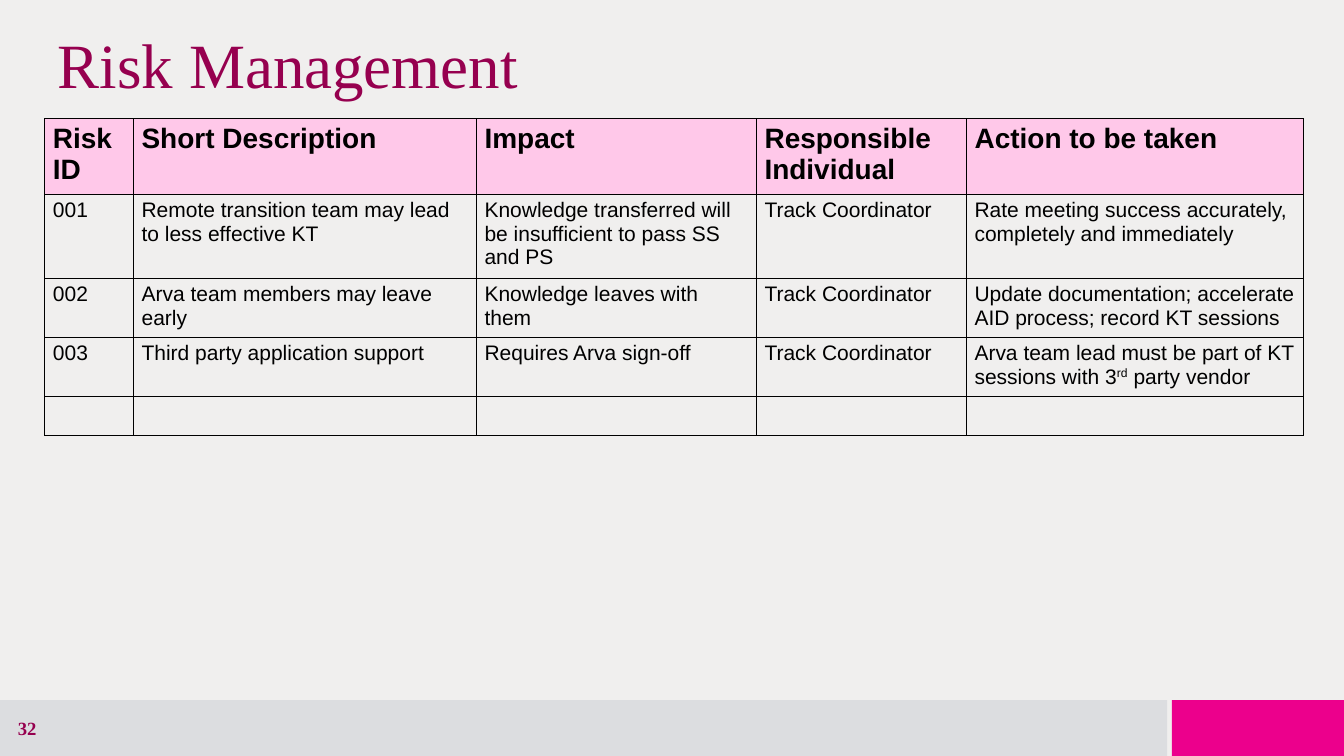
from dataclasses import dataclass

from lxml import etree
from pptx import Presentation
from pptx.dml.color import RGBColor
from pptx.enum.shapes import MSO_SHAPE
from pptx.enum.text import MSO_ANCHOR, PP_ALIGN
from pptx.oxml.ns import qn
from pptx.util import Pt

RECTANGLE = MSO_SHAPE.RECTANGLE
MIDDLE = MSO_ANCHOR.MIDDLE
LEFT, CENTER = PP_ALIGN.LEFT, PP_ALIGN.CENTER


@dataclass(frozen=True)
class Theme:
    background: str = "F0EFEE"
    accent: str = "EC008C"
    footer: str = "DCDDE0"
    heading: str = "96004F"
    header_fill: str = "FFC8E9"
    ink: str = "000000"
    serif: str = "Times New Roman"
    sans: str = "Arial"
    title_size: float = 54
    title_spacing: float = 48
    header_size: float = 24
    body_size: float = 18
    number_size: float = 16


@dataclass(frozen=True)
class Box:
    left: float
    top: float
    width: float
    height: float

    def lengths(self) -> tuple:
        return Pt(self.left), Pt(self.top), Pt(self.width), Pt(self.height)


@dataclass(frozen=True)
class Bar:
    box: Box
    color: str


@dataclass(frozen=True)
class Risk:
    number: str = ""
    description: str = ""
    impact: str = ""
    responsible: str = ""
    action: str = ""

    def texts(self) -> tuple:
        return (self.number, self.description, self.impact,
                self.responsible, self.action)


THEME = Theme()
SLIDE_WIDTH, SLIDE_HEIGHT = 1152, 648
FOOTER_TOP, FOOTER_HEIGHT = 600, 48
TABLE_LEFT, TABLE_TOP = 38.16, 102
COLUMN_WIDTHS = (76, 294, 240, 180, 289)
ROW_HEIGHTS = (60.75, 67.75, 47.5, 47.5, 34)
SUPERSCRIPT_MARK = "^"  # encloses raised text

BARS = (
    Bar(Box(1004.5, FOOTER_TOP, 147.5, FOOTER_HEIGHT), THEME.accent),
    Bar(Box(0, FOOTER_TOP, 1000.5, FOOTER_HEIGHT), THEME.footer),
)
HEADER = Risk("Risk ID", "Short Description", "Impact",
              "Responsible Individual", "Action to be taken")
RISKS = (
    Risk("001", "Remote transition team may lead to less effective KT",
         "Knowledge transferred will be insufficient to pass SS and PS",
         "Track Coordinator",
         "Rate meeting success accurately, completely and immediately"),
    Risk("002", "Arva team members may leave early",
         "Knowledge leaves with them", "Track Coordinator",
         "Update documentation; accelerate AID process; record KT sessions"),
    Risk("003", "Third party application support",
         "Requires Arva sign-off", "Track Coordinator",
         "Arva team lead must be part of KT sessions with 3^rd^ party vendor"),
    Risk(),
)


def write_text(text_frame, text: str, *, size: float, font: str, color: str,
               bold: bool = False, align=LEFT, spacing: float = 0) -> None:
    paragraph = text_frame.paragraphs[0]
    paragraph.alignment = align
    if spacing:
        paragraph.line_spacing = Pt(spacing)
    for index, part in enumerate(text.split(SUPERSCRIPT_MARK)):
        run = paragraph.add_run()
        run.text = part
        run.font.size = Pt(size)
        run.font.name = font
        run.font.bold = bold
        run.font.color.rgb = RGBColor.from_string(color)
        if index % 2:
            run._r.get_or_add_rPr().set("baseline", "30000")


def add_text_box(slide, box: Box, text: str, **text_format) -> None:
    text_frame = slide.shapes.add_textbox(*box.lengths()).text_frame
    text_frame.word_wrap = True
    text_frame.vertical_anchor = MIDDLE
    text_frame.margin_left = text_frame.margin_right = Pt(11.5)
    text_frame.margin_top = text_frame.margin_bottom = Pt(5.75)
    write_text(text_frame, text, **text_format)


def add_bar(slide, bar: Bar) -> None:
    shape = slide.shapes.add_shape(RECTANGLE, *bar.box.lengths())
    shape.shadow.inherit = False
    shape.fill.solid()
    shape.fill.fore_color.rgb = RGBColor.from_string(bar.color)
    shape.line.fill.background()


def add_borders(cell, color: str) -> None:
    properties = cell._tc.get_or_add_tcPr()
    for side in ("a:lnL", "a:lnR", "a:lnT", "a:lnB"):
        line = etree.SubElement(properties, qn(side), w=str(Pt(1)))
        fill = etree.SubElement(line, qn("a:solidFill"))
        etree.SubElement(fill, qn("a:srgbClr"), val=color)


def fill_cell(cell, text: str, is_header: bool) -> None:
    add_borders(cell, THEME.ink)
    if is_header:
        cell.fill.solid()
        cell.fill.fore_color.rgb = RGBColor.from_string(THEME.header_fill)
    else:
        cell.fill.background()
    if text:
        write_text(cell.text_frame, text, font=THEME.sans, color=THEME.ink,
                   size=THEME.header_size if is_header else THEME.body_size,
                   bold=is_header)


def add_risk_table(slide) -> None:
    box = Box(TABLE_LEFT, TABLE_TOP, sum(COLUMN_WIDTHS), sum(ROW_HEIGHTS))
    table = slide.shapes.add_table(
        len(ROW_HEIGHTS), len(COLUMN_WIDTHS), *box.lengths()).table
    table.first_row = table.horz_banding = False
    for column, width in zip(table.columns, COLUMN_WIDTHS):
        column.width = Pt(width)
    for index, risk in enumerate((HEADER, *RISKS)):
        row = table.rows[index]
        row.height = Pt(ROW_HEIGHTS[index])
        for cell, text in zip(row.cells, risk.texts()):
            fill_cell(cell, text, is_header=index == 0)


def main() -> None:
    presentation = Presentation()
    presentation.slide_width = Pt(SLIDE_WIDTH)
    presentation.slide_height = Pt(SLIDE_HEIGHT)
    slide = presentation.slides.add_slide(presentation.slide_layouts[6])

    # Background and footer bars
    slide.background.fill.solid()
    slide.background.fill.fore_color.rgb = RGBColor.from_string(THEME.background)
    for bar in BARS:
        add_bar(slide, bar)

    # Title
    add_text_box(slide, Box(TABLE_LEFT, 22.3, sum(COLUMN_WIDTHS), 80),
                 "Risk Management", size=THEME.title_size, font=THEME.serif,
                 color=THEME.heading, spacing=THEME.title_spacing)

    # Risk table
    add_risk_table(slide)

    # Slide number
    add_text_box(slide, Box(-0.75, 607, 48.25, 34.5), "32",
                 size=THEME.number_size, font=THEME.serif,
                 color=THEME.heading, bold=True, align=CENTER)

    presentation.save("out.pptx")


main()
